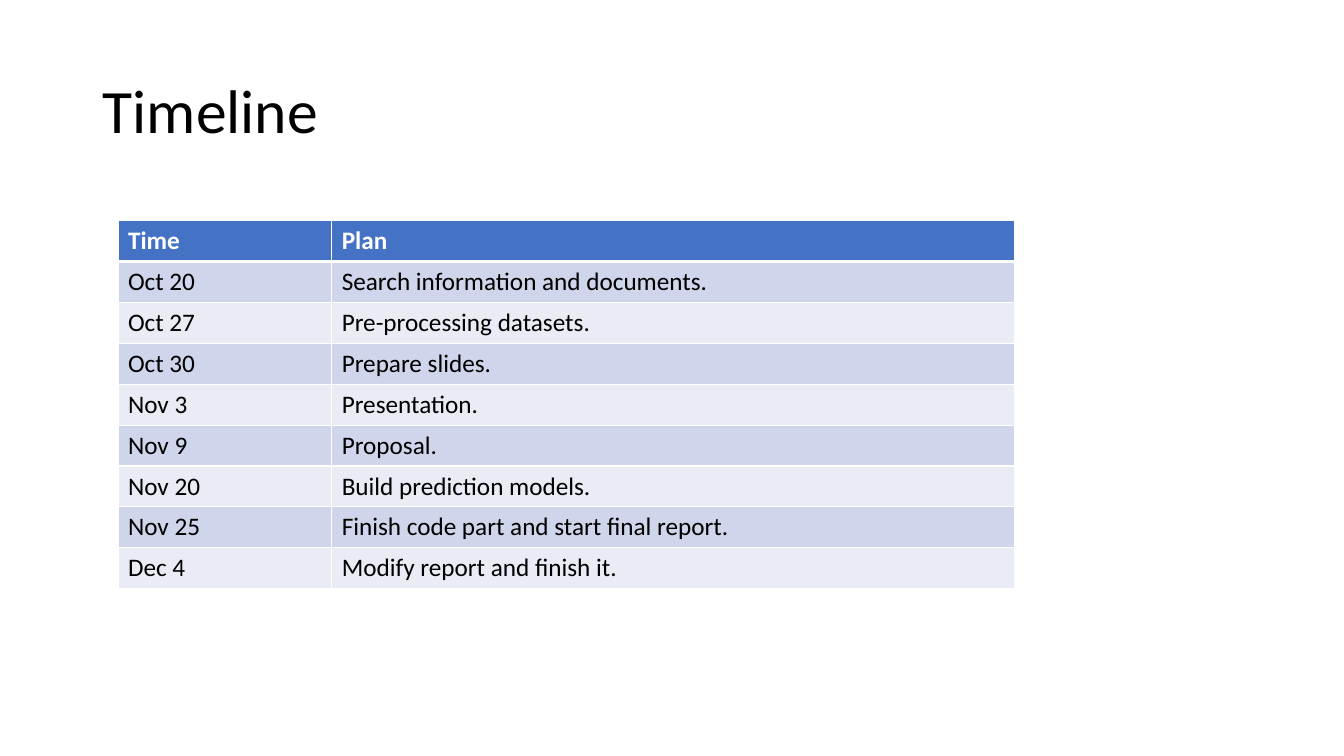
import pptx
import pptx.dml.color
import pptx.enum.text
import pptx.util
from lxml import etree

Inches, Pt = pptx.util.Inches, pptx.util.Pt

# Content
TITLE = "Timeline"
ROWS = [
    ("Time", "Plan"),
    ("Oct 20", "Search information and documents."),
    ("Oct 27", "Pre-processing datasets."),
    ("Oct 30", "Prepare slides."),
    ("Nov 3", "Presentation."),
    ("Nov 9", "Proposal."),
    ("Nov 20", "Build prediction models."),
    ("Nov 25", "Finish code part and start final report."),
    ("Dec 4", "Modify report and finish it."),
]
COL_WIDTHS = (2.12, 6.77)
TABLE_HEIGHT = 3.65
HEADER_FILL = "4472C4"
BAND_FILLS = ("E9EBF5", "CFD5EA")  # even rows, odd rows
BORDER = "FFFFFF"
NS = "http://schemas.openxmlformats.org/drawingml/2006/main"


def rgb(value):
    return pptx.dml.color.RGBColor.from_string(value)


def write(tf, text, size=18, color="000000", bold=False, spacing=None):
    p = tf.paragraphs[0]
    p.alignment = pptx.enum.text.PP_ALIGN.LEFT
    if spacing:
        p.line_spacing = spacing
    r = p.add_run()
    r.text = text
    r.font.name = "Calibri"
    r.font.size = Pt(size)
    r.font.bold = bold
    r.font.color.rgb = rgb(color)


def set_borders(cell, **widths):
    tc_pr = cell._tc.get_or_add_tcPr()
    for side in "LRTB":
        ln = etree.SubElement(tc_pr, f"{{{NS}}}ln{side}", w=str(Pt(widths.get(side, 1))))
        fill = etree.SubElement(ln, f"{{{NS}}}solidFill")
        etree.SubElement(fill, f"{{{NS}}}srgbClr", val=BORDER)


prs = pptx.Presentation()
prs.slide_width, prs.slide_height = Inches(13.33), Inches(7.5)
s = prs.slides.add_slide(prs.slide_layouts[5])

# Title
title = s.shapes.title
title.left, title.top = Inches(0.92), Inches(0.4)
title.width, title.height = Inches(11.5), Inches(1.45)
title.text_frame.vertical_anchor = pptx.enum.text.MSO_ANCHOR.MIDDLE
write(title.text_frame, TITLE, size=44, spacing=0.9)

# Timeline table
table = s.shapes.add_table(
    len(ROWS), len(COL_WIDTHS), Inches(1.17), Inches(2.19),
    Inches(sum(COL_WIDTHS)), Inches(TABLE_HEIGHT)).table
for column, width in zip(table.columns, COL_WIDTHS):
    column.width = Inches(width)

for i, row in enumerate(ROWS):
    header = i == 0
    for j, text in enumerate(row):
        cell = table.cell(i, j)
        # The rule under the header is thicker than the others
        set_borders(cell, B=3 if header else 1, T=3 if i == 1 else 1)
        cell.fill.solid()
        cell.fill.fore_color.rgb = rgb(HEADER_FILL if header else BAND_FILLS[i % 2])
        write(cell.text_frame, text, bold=header, color="FFFFFF" if header else "000000")

prs.save("out.pptx")
